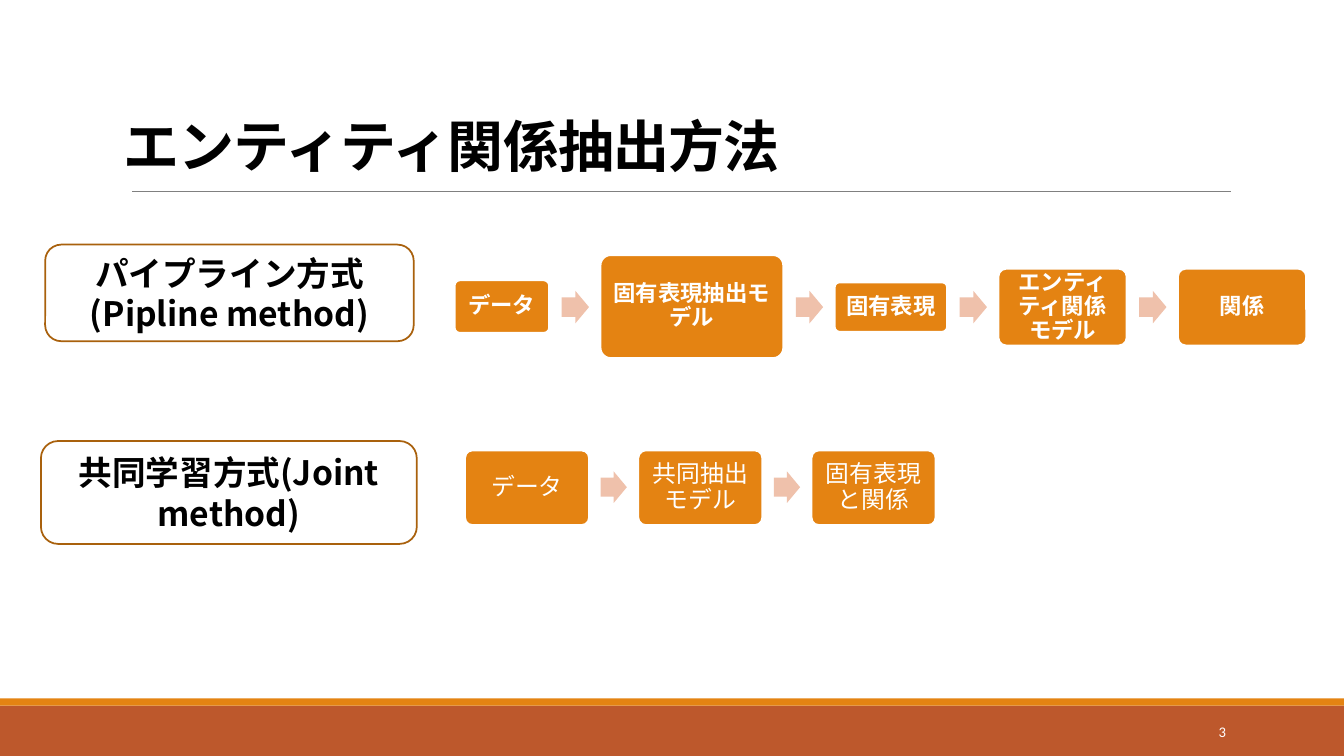
"""Build the slide that compares two entity relation extraction methods."""
from dataclasses import dataclass

from lxml import etree
from pptx import Presentation
from pptx.dml.color import RGBColor
from pptx.enum.shapes import MSO_CONNECTOR, MSO_SHAPE
from pptx.enum.text import MSO_ANCHOR, PP_ALIGN
from pptx.oxml.ns import qn
from pptx.util import Pt

PX = 9525
RECT, ROUND, ARROW = MSO_SHAPE.RECTANGLE, MSO_SHAPE.ROUNDED_RECTANGLE, MSO_SHAPE.RIGHT_ARROW
STRAIGHT = MSO_CONNECTOR.STRAIGHT
MIDDLE, BOTTOM = MSO_ANCHOR.MIDDLE, MSO_ANCHOR.BOTTOM
LEFT, CENTER, RIGHT = PP_ALIGN.LEFT, PP_ALIGN.CENTER, PP_ALIGN.RIGHT


@dataclass(frozen=True)
class Theme:
    """Colours, fonts and type sizes of the slide."""
    black: str = "000000"
    white: str = "FFFFFF"
    orange: str = "E48312"
    rust: str = "BD582C"
    peach: str = "EFC1AB"
    brown: str = "A9610D"
    grey: str = "808080"
    latin: str = "Calibri"
    japanese: str = "Noto Sans CJK JP"
    title: float = 40
    label: float = 24
    joint_step: float = 17
    pipeline_step: float = 16
    number: float = 10.5


def write(shape, text, *, size, color, font, bold=False, align=CENTER, anchor=MIDDLE,
          leading=1.0, tracking=0, inset=None, east_asian="Noto Sans CJK JP"):
    """Fill a shape with text, one paragraph for each line."""
    frame = shape.text_frame
    frame.word_wrap = True
    frame.vertical_anchor = anchor
    if inset is not None:
        frame.margin_left = frame.margin_right = inset * PX
        frame.margin_top = frame.margin_bottom = inset * PX
    for index, line in enumerate(text.split("\n")):
        para = frame.add_paragraph() if index else frame.paragraphs[0]
        para.alignment = align
        para.line_spacing = leading
        span = para.add_run()
        span.text = line
        span.font.name = font
        span.font.size = Pt(size)
        span.font.bold = bold
        span.font.color.rgb = RGBColor.from_string(color)
        properties = span.font._element
        etree.SubElement(properties, qn("a:ea"), typeface=east_asian)
        if tracking:
            properties.set("spc", str(tracking))


class SlideBuilder:
    """Draws elements on one page in one theme."""

    def __init__(self, page, theme):
        """Keep the page and the theme."""
        self.page = page
        self.theme = theme

    def shape(self, kind, left, top, width, height, fill=None, line=None, adjust=()):
        """Add a preset shape with a plain fill and outline."""
        shape = self.page.shapes.add_shape(kind, left * PX, top * PX, width * PX, height * PX)
        shape.shadow.inherit = False
        for index, value in enumerate(adjust):
            shape.adjustments[index] = value
        if fill:
            shape.fill.solid()
            shape.fill.fore_color.rgb = RGBColor.from_string(fill)
        else:
            shape.fill.background()
        if line:
            shape.line.color.rgb = RGBColor.from_string(line)
            shape.line.width = Pt(1.25)
        else:
            shape.line.fill.background()
        return shape

    def text(self, text, left, top, width, height, **style):
        """Add a text box."""
        box = self.page.shapes.add_textbox(left * PX, top * PX, width * PX, height * PX)
        write(box, text, font=self.theme.latin, **style)

    def rule(self, left, right, top):
        """Add a thin horizontal line."""
        rule = self.page.shapes.add_connector(STRAIGHT, left * PX, top * PX, right * PX, top * PX)
        rule.line.color.rgb = RGBColor.from_string(self.theme.grey)
        rule.line.width = Pt(0.5)
        etree.SubElement(rule._element.spPr, qn("a:effectLst"))

    def label(self, text, left, top, width, height):
        """Add an outlined method name."""
        label = self.shape(ROUND, left, top, width, height, line=self.theme.brown)
        write(label, text, size=self.theme.label, color=self.theme.black,
              font=self.theme.japanese, bold=True)

    def flow(self, steps, left, middle, gap, arrow, **style):
        """Add a row of boxes on one centre line with an arrow in each gap."""
        arrow_width, arrow_height = arrow
        for index, (text, width, height) in enumerate(steps):
            if index:
                self.shape(ARROW, left - (gap + arrow_width) // 2, middle - arrow_height // 2,
                           arrow_width, arrow_height, self.theme.peach, adjust=(0.6, 0.5))
            box = self.shape(ROUND, left, middle - height // 2, width, height,
                             self.theme.orange, self.theme.white, (0.1,))
            write(box, text, color=self.theme.white, leading=0.9, inset=7, **style)
            left += width + gap


def main():
    """Build and save the deck."""
    theme = Theme()
    deck = Presentation()
    deck.slide_width, deck.slide_height = 1280 * PX, 720 * PX
    builder = SlideBuilder(deck.slides.add_slide(deck.slide_layouts[6]), theme)

    builder.shape(RECT, 0, 672, 1280, 48, theme.rust)
    builder.shape(RECT, 0, 665, 1280, 7, theme.orange)
    builder.rule(126, 1172, 182)
    builder.text("エンティティ関係抽出方法", 108, 69, 1042, 106, size=theme.title,
                 color=theme.black, bold=True, align=LEFT, anchor=BOTTOM,
                 leading=0.85, tracking=-50)

    builder.label("パイプライン方式\n(Pipline method)", 43, 233, 351, 92)
    pipeline = [("データ", 90, 50), ("固有表現抽出モデル", 174, 98), ("固有表現", 107, 47),
                ("エンティティ関係モデル", 122, 73), ("関係", 122, 73)]
    builder.flow(pipeline, 433, 292, 49, (26, 31),
                 size=theme.pipeline_step, font=theme.japanese, bold=True)

    builder.label("共同学習方式(Joint method)", 39, 420, 358, 98)
    joint = [(text, 118, 71) for text in ("データ", "共同抽出モデル", "固有表現と関係")]
    builder.flow(joint, 443, 464, 47, (25, 30), size=theme.joint_step, font=theme.latin)

    builder.text("3", 1040, 678, 137, 38, size=theme.number, color=theme.white, align=RIGHT)
    deck.save("out.pptx")


if __name__ == "__main__":
    main()
